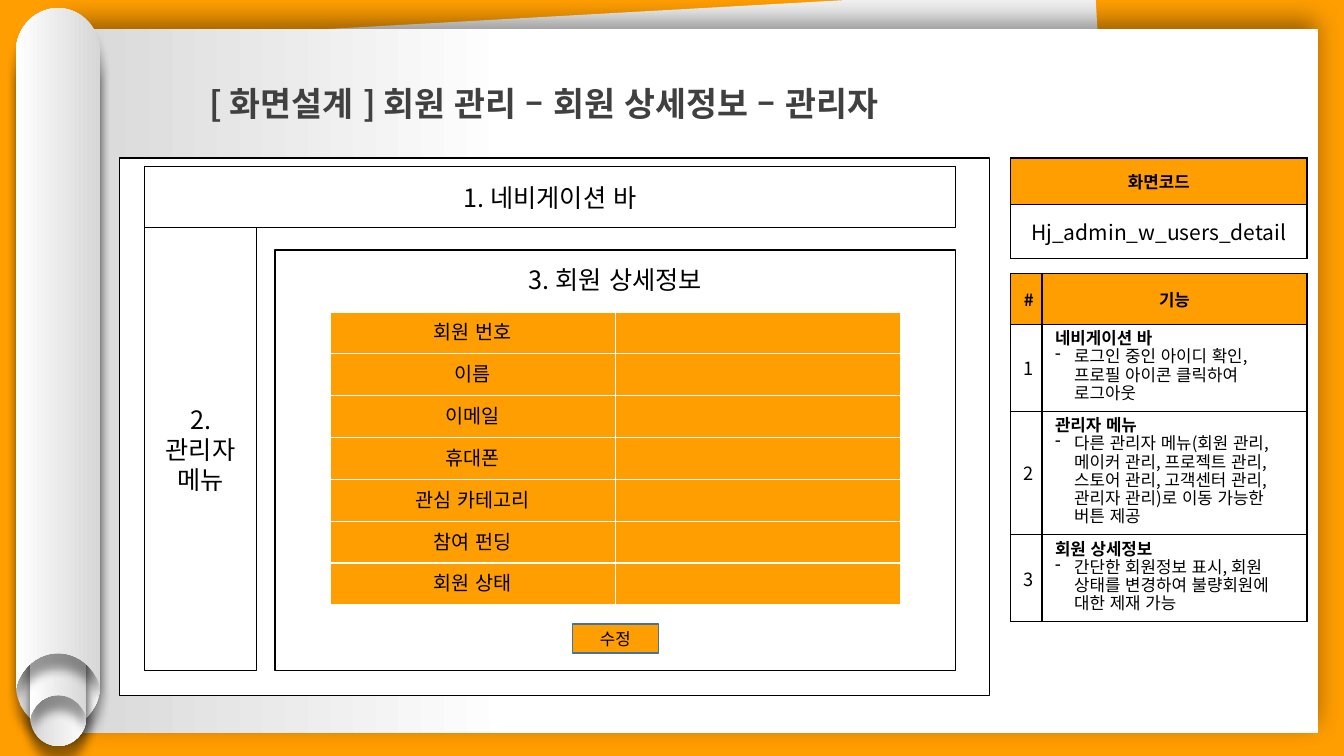
from dataclasses import dataclass

from lxml.etree import SubElement
from pptx import Presentation
from pptx.dml.color import RGBColor
from pptx.enum.lang import MSO_LANGUAGE_ID
from pptx.enum.shapes import MSO_SHAPE
from pptx.enum.text import MSO_ANCHOR, MSO_AUTO_SIZE, PP_ALIGN
from pptx.oxml.ns import qn
from pptx.util import Inches, Pt

WIDTH, HEIGHT = Inches(13.33), Inches(7.5)


@dataclass(frozen=True)
class Theme:
    font: str = "Noto Sans CJK KR"
    orange: str = "FF9E00"
    white: str = "FFFFFF"
    black: str = "000000"
    under_sheet: str = "F2F2F2"
    curl: str = "D7D7D7"
    button_line: str = "43739E"
    heading: str = "404040"
    title_size: float = 24
    panel_size: float = 18
    code_size: float = 15
    field_size: float = 14
    number_size: float = 13
    note_size: float = 12


THEME = Theme()


def color(value):
    return RGBColor.from_string(value)


def area(left, top, width, height):
    return [round(share * side / 100) for share, side in
            zip((left, top, width, height), (WIDTH, HEIGHT, WIDTH, HEIGHT))]


def apply(target, values):
    for name, value in values.items():
        setattr(target, name, value)


def write(para, text, size, bold=False, ink=THEME.black, align=PP_ALIGN.CENTER, spacing=None):
    apply(para, {"alignment": align, "line_spacing": spacing})
    if not text:
        SubElement(para._p, qn("a:endParaRPr"), sz=str(size * 100))
        return
    span = para.add_run()
    span.text = text
    apply(span.font, {"size": Pt(size), "bold": bold, "name": THEME.font,
                      "language_id": MSO_LANGUAGE_ID.KOREAN})
    span.font.color.rgb = color(ink)
    SubElement(span.font._element, qn("a:ea"), typeface=THEME.font)


def add_dash(para):
    properties = para._p.get_or_add_pPr()
    properties.set("marL", str(Inches(0.19)))
    properties.set("indent", str(-Inches(0.19)))
    SubElement(properties, qn("a:buFontTx"))
    SubElement(properties, qn("a:buChar"), char="-")


def paint(shape, fill=None, line=None, weight=1):
    shape.shadow.inherit = False
    if fill:
        shape.fill.solid()
        shape.fill.fore_color.rgb = color(fill)
    else:
        shape.fill.background()
    if line:
        shape.line.color.rgb = color(line)
        shape.line.width = Pt(weight)
    else:
        shape.line.fill.background()


def add_gradient(shape, stops):
    shape.fill.gradient()
    shape.fill.gradient_angle = 180
    for stop, (position, value) in zip(shape.fill.gradient_stops, stops):
        stop.position = position
        stop.color.rgb = color(value)


def add_shadow(shape, blur, distance, direction):
    effects = shape._element.spPr.find(qn("a:effectLst"))
    shadow = SubElement(effects, qn("a:outerShdw"), blurRad=str(Pt(blur)), dist=str(Pt(distance)),
                        dir=str(direction * 60000), algn="ctr", rotWithShape="0")
    ink = SubElement(shadow, qn("a:srgbClr"), val=THEME.black)
    SubElement(ink, qn("a:alpha"), val="40000")


def add_panel(page, place, lines=(), size=THEME.panel_size, anchor=MSO_ANCHOR.MIDDLE,
              top=0.05, **look):
    panel = page.shapes.add_shape(MSO_SHAPE.RECTANGLE, *area(*place))
    paint(panel, **look)
    frame = panel.text_frame
    apply(frame, {"word_wrap": True, "vertical_anchor": anchor, "margin_top": Inches(top)})
    for index, line in enumerate(lines):
        para = frame.add_paragraph() if index else frame.paragraphs[0]
        write(para, line, size)
    return panel


def add_tube(page, place, rotation=0):
    left, top, width, height = area(*place)
    end = height / width
    segments = [
        [(0.78, 0), (1, 0.24), (1, 0.52)],
        [(1, end)],
        [(0.98, end - 0.08)],
        [(0.89, end - 0.29), (0.71, end - 0.42), (0.5, end - 0.42)],
        [(0.29, end - 0.42), (0.11, end - 0.29), (0.02, end - 0.08)],
        [(0, end)],
        [(0, 0.52)],
        [(0, 0.24), (0.22, 0), (0.5, 0)],
    ]
    builder = page.shapes.build_freeform(left + width // 2, top)
    builder.add_line_segments([(left + round(x * width), top + round(y * width))
                               for x, y in (segment[-1] for segment in segments)], close=True)
    tube = builder.convert_to_shape()
    for straight, segment in zip(list(tube._element.iter(qn("a:lnTo"))), segments):
        if len(segment) == 3:
            curve = straight.makeelement(qn("a:cubicBezTo"))
            for x, y in segment:
                SubElement(curve, qn("a:pt"), x=str(round(x * width)), y=str(round(y * width)))
            straight.getparent().replace(straight, curve)
    paint(tube)
    add_gradient(tube, [(0, THEME.curl), (1, THEME.white)])
    add_shadow(tube, 7, 11, 90)
    tube.rotation = rotation


def add_borders(cell, line):
    properties = cell._tc.get_or_add_tcPr()
    for index, side in enumerate(("lnL", "lnR", "lnT", "lnB")):
        border = properties.makeelement(qn(f"a:{side}"), {"w": str(Pt(1))})
        fill = SubElement(border, qn("a:solidFill"))
        SubElement(fill, qn("a:srgbClr"), val=line)
        properties.insert(index, border)


def add_grid(page, place, columns, rows, line, margins):
    left, top, width, height = area(*place)
    table = page.shapes.add_table(len(rows), len(columns), left, top, width, height).table
    apply(table, {"first_row": False, "horz_banding": False})
    for tracks, shares, name, length in ((table.columns, columns, "width", width),
                                         (table.rows, rows, "height", height)):
        for track, share in zip(tracks, shares):
            setattr(track, name, round(length * share / sum(shares)))
    across, down = map(Inches, margins)
    for cell in table.iter_cells():
        apply(cell, {"margin_left": across, "margin_right": across,
                     "margin_top": down, "margin_bottom": down})
        add_borders(cell, line)
    return table


def fill_cell(cell, text, size, fill=THEME.white, bold=False, anchor=MSO_ANCHOR.MIDDLE):
    cell.fill.solid()
    cell.fill.fore_color.rgb = color(fill)
    cell.vertical_anchor = anchor
    write(cell.text_frame.paragraphs[0], text, size, bold)


def add_code_table(page):
    table = add_grid(page, (75.2, 20.9, 22.05, 13.33), [1], [46, 54], THEME.black, (0.13, 0.07))
    fill_cell(table.cell(0, 0), "화면코드", THEME.note_size, THEME.orange, True)
    fill_cell(table.cell(1, 0), "Hj_admin_w_users_detail", THEME.code_size)


def add_feature_table(page, features):
    table = add_grid(page, (75.2, 36.13, 22.05, 45.9), [31, 263], [51, 86, 122, 86],
                     THEME.black, (0.13, 0.07))
    for column, label in enumerate(("#", "기능")):
        fill_cell(table.cell(0, column), label, THEME.note_size, THEME.orange, True)
    for row, (name, detail) in enumerate(features, 1):
        fill_cell(table.cell(row, 0), str(row), THEME.number_size)
        cell = table.cell(row, 1)
        fill_cell(cell, name, THEME.note_size, bold=True, anchor=MSO_ANCHOR.TOP)
        apply(cell.text_frame.paragraphs[0], {"alignment": PP_ALIGN.LEFT, "line_spacing": Pt(13)})
        para = cell.text_frame.add_paragraph()
        add_dash(para)
        write(para, detail, THEME.note_size, align=PP_ALIGN.LEFT, spacing=Pt(13))


def add_member_table(page, fields):
    table = add_grid(page, (24.55, 41.27, 42.45, 38.75), [1, 1], [1] * len(fields),
                     THEME.white, (0.1, 0.05))
    for row, field in enumerate(fields):
        for column, text in enumerate((field, "")):
            fill_cell(table.cell(row, column), text, THEME.field_size, THEME.orange,
                      anchor=MSO_ANCHOR.TOP)


def add_paper(page):
    under_sheet = add_panel(page, (6.83, 1.87, 76.13, 90.67), fill=THEME.under_sheet)
    under_sheet.rotation = 356.8
    sheet = add_panel(page, (4.35, 3.87, 93.7, 93.13))
    add_gradient(sheet, [(0.64, THEME.white), (1, THEME.curl)])
    add_shadow(sheet, 18, 6, 270)
    add_tube(page, (1.18, 6.4, 6.27, 90), 180)
    add_tube(page, (2.23, 38.4, 4.2, 60.27), 180)
    add_tube(page, (2.23, 34.8, 4.2, 60.27))
    add_tube(page, (1.18, 1.07, 6.27, 90))


def add_title(page, text):
    title = page.shapes.title
    apply(title, dict(zip(("left", "top", "width", "height"), area(14.85, 7.6, 72.08, 8.8))))
    apply(title.text_frame, {"word_wrap": True, "auto_size": MSO_AUTO_SIZE.NONE,
                             "vertical_anchor": MSO_ANCHOR.TOP})
    write(title.text_frame.paragraphs[0], text, THEME.title_size, True, THEME.heading,
          PP_ALIGN.LEFT, 1.5)
    page.shapes._spTree.append(title._element)


def main():
    deck = Presentation()
    apply(deck, {"slide_width": WIDTH, "slide_height": HEIGHT})
    page = deck.slides.add_slide(deck.slide_layouts[5])
    page.background.fill.solid()
    page.background.fill.fore_color.rgb = color(THEME.orange)
    add_paper(page)
    add_code_table(page)
    add_panel(page, (8.9, 20.9, 64.73, 71.07), fill=THEME.white, line=THEME.black, weight=0.75)
    add_feature_table(page, [
        ("네비게이션 바", "로그인 중인 아이디 확인, 프로필 아이콘 클릭하여 로그아웃"),
        ("관리자 메뉴", "다른 관리자 메뉴(회원 관리, 메이커 관리, 프로젝트 관리, 스토어 관리, "
                   "고객센터 관리, 관리자 관리)로 이동 가능한 버튼 제공"),
        ("회원 상세정보", "간단한 회원정보 표시, 회원 상태를 변경하여 불량회원에 대한 제재 가능"),
    ])
    add_panel(page, (10.76, 30.13, 8.33, 58.6), ["2. 관리자", "메뉴"], line=THEME.black)
    add_panel(page, (10.76, 22, 60.35, 8.1), ["1. 네비게이션 바"], line=THEME.black)
    add_panel(page, (20.46, 33.07, 50.65, 55.6), ["3. 회원 상세정보"], anchor=MSO_ANCHOR.TOP,
              top=0.14, line=THEME.black)
    add_member_table(page, ["회원 번호", "이름", "이메일", "휴대폰", "관심 카테고리",
                            "참여 펀딩", "회원 상태"])
    add_panel(page, (42.6, 82.53, 6.38, 3.87), ["수정"], THEME.note_size,
              fill=THEME.orange, line=THEME.button_line)
    add_title(page, "[ 화면설계 ] 회원 관리 – 회원 상세정보 – 관리자")
    deck.save("out.pptx")


if __name__ == "__main__":
    main()
